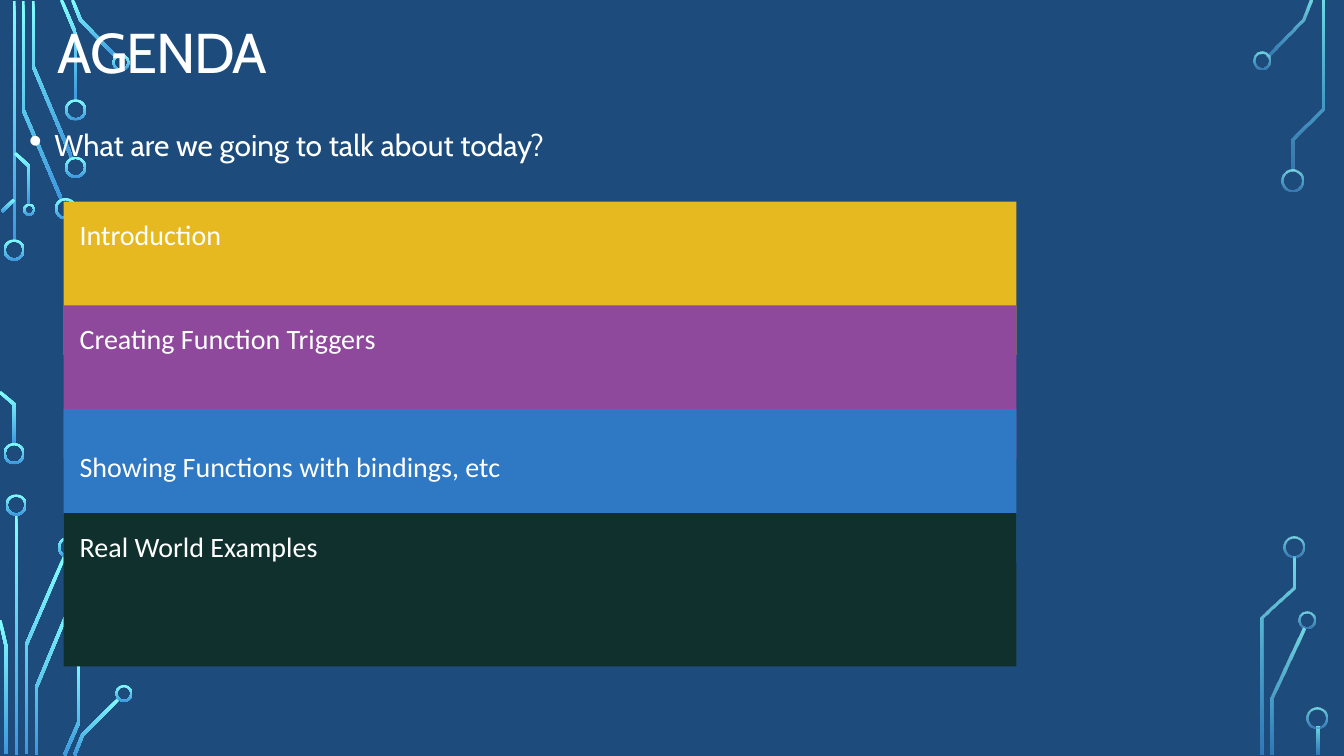
from dataclasses import dataclass
from math import hypot

from lxml import etree
from pptx import Presentation
from pptx.dml.color import RGBColor
from pptx.enum.shapes import MSO_SHAPE
from pptx.enum.text import MSO_ANCHOR, MSO_AUTO_SIZE, PP_ALIGN
from pptx.oxml.ns import qn
from pptx.shapes.autoshape import Shape
from pptx.slide import Slide
from pptx.text.text import TextFrame
from pptx.util import Inches, Pt

RECTANGLE, DONUT = MSO_SHAPE.RECTANGLE, MSO_SHAPE.DONUT
TOP, LEFT, NO_AUTOFIT = MSO_ANCHOR.TOP, PP_ALIGN.LEFT, MSO_AUTO_SIZE.NONE
COLORS = {
    "background": "1D4C7C", "text": "FFFFFF", "glow": "82FFFF", "trace": "3D97DE",
    "yellow": "E7B921", "purple": "8E499C", "blue": "2E78C4", "green": "0F302D",
}
TRACE_WIDTH = 0.03
RING_WALL = 0.02
BAND_LEFT, BAND_TOP, BAND_STEP = 0.63, 2.0, 1.03
BAND_WIDTH, BAND_HEIGHT, LABEL_HEIGHT = 9.45, 1.52, 1.04

Point = tuple[float, float]


@dataclass(frozen=True)
class Ring:
    x: float
    y: float
    size: float = 0.21


@dataclass(frozen=True)
class Circuit:
    traces: list[list[Point]]
    rings: list[Ring]
    opacities: tuple[int, int] = (100, 100)


@dataclass(frozen=True)
class Band:
    label: str
    color: str
    label_drop: float = 0
    label_width: float = BAND_WIDTH


@dataclass(frozen=True)
class TextStyle:
    font: str
    size: float
    line_spacing: float = 1.0
    inset: float = 0


TITLE = TextStyle("Cabin", 40, 0.9)
BODY = TextStyle("Cabin", 21.4, 0.9)
LABEL = TextStyle("Calibri", 20, inset=0.16)

CIRCUITS = [
    Circuit(
        traces=[
            [(0.14, 0.01), (0.14, 2.4)],
            [(0.23, 0.01), (0.23, 1.09), (0.61, 1.98)],
            [(0.33, 0.01), (0.33, 0.66), (0.71, 1.56)],
            [(0.61, 0), (0.75, 0.33), (0.75, 1)],
            [(0.72, 0), (0.8, 0.2), (1.16, 0.57)],
            [(0.02, 2.1), (0.14, 1.98)],
            [(0, 3.89), (0.14, 4.01), (0.14, 4.41)],
            [(0.15, 1.52), (0.29, 1.65), (0.29, 2.03)],
            [(0.16, 5.1), (0.16, 7.49)],
            [(0.26, 7.48), (0.26, 6.4), (0.64, 5.52)],
            [(0.06, 7.48), (0.06, 6.41), (0, 6.15)],
            [(0.36, 7.49), (0.36, 6.82), (0.73, 5.93)],
            [(0.64, 7.49), (0.78, 7.17), (0.78, 6.5)],
            [(0.74, 7.49), (0.82, 7.29), (1.18, 6.93)],
        ],
        rings=[
            Ring(0.14, 2.48), Ring(0.14, 4.5), Ring(0.65, 2.07), Ring(0.75, 1.66),
            Ring(0.75, 1.09), Ring(1.2, 0.62, 0.17), Ring(0.29, 2.08, 0.12),
            Ring(0.16, 5.01), Ring(0.68, 5.43), Ring(1.23, 6.88, 0.17),
        ],
    ),
    Circuit(
        traces=[
            [(12.57, 0.56), (12.92, 0.2), (13, 0)],
            [(12.62, 7.49), (12.62, 6.93), (12.93, 6.23)],
            [(12.82, 1.69), (12.82, 1.38), (13.12, 1.08), (13.12, 0.01)],
            [(12.52, 7.49), (12.52, 6.13), (12.83, 5.83), (12.83, 5.52)],
            [(13.07, 7.21), (13.07, 7.49)],
        ],
        rings=[
            Ring(12.52, 0.6, 0.17), Ring(12.82, 1.79), Ring(12.96, 6.15, 0.17),
            Ring(12.83, 5.43), Ring(13.06, 7.12),
        ],
        opacities=(80, 60),
    ),
]
BANDS = [
    Band("Introduction", "yellow"),
    Band("Creating Function Triggers", "purple"),
    Band("Showing Functions with bindings, etc", "blue", 0.24, 9.65),
    Band("Real World Examples", "green"),
]


def color(name: str) -> RGBColor:
    return RGBColor.from_string(COLORS[name])


def trace_outline(points: list[Point]) -> list[Point]:
    normals = []
    for (x1, y1), (x2, y2) in zip(points, points[1:]):
        length = hypot(x2 - x1, y2 - y1)
        normals.append(((y1 - y2) / length, (x2 - x1) / length))
    near, far = [], []
    for (x, y), (ax, ay), (bx, by) in zip(points, normals[:1] + normals, normals + normals[-1:]):
        scale = TRACE_WIDTH / 2 / (1 + ax * bx + ay * by)
        dx, dy = (ax + bx) * scale, (ay + by) * scale
        near.append((x + dx, y + dy))
        far.append((x - dx, y - dy))
    return near + far[::-1]


def apply_glow(shape: Shape, opacities: tuple[int, int]) -> None:
    shape.shadow.inherit = False
    shape.line.fill.background()
    shape.fill.gradient()
    shape.fill.gradient_angle = 270
    for stop, name in zip(shape.fill.gradient_stops, ("glow", "trace")):
        stop.color.rgb = color(name)
    for element, opacity in zip(shape._element.spPr.iter(qn("a:srgbClr")), opacities):
        if opacity < 100:
            etree.SubElement(element, qn("a:alpha"), val=str(opacity * 1000))


def draw_circuit(slide: Slide, circuit: Circuit) -> None:
    for points in circuit.traces:
        outline = [(Inches(x), Inches(y)) for x, y in trace_outline(points)]
        builder = slide.shapes.build_freeform(*outline[0])
        builder.add_line_segments(outline[1:], close=True)
        apply_glow(builder.convert_to_shape(), circuit.opacities)
    for ring in circuit.rings:
        left, top = ring.x - ring.size / 2, ring.y - ring.size / 2
        shape = slide.shapes.add_shape(
            DONUT, Inches(left), Inches(top), Inches(ring.size), Inches(ring.size))
        shape.adjustments[0] = RING_WALL / ring.size
        apply_glow(shape, circuit.opacities)


def write_text(frame: TextFrame, text: str, style: TextStyle) -> None:
    inset = Inches(style.inset)
    frame_format = {
        "margin_left": inset, "margin_top": inset, "margin_right": inset,
        "margin_bottom": inset, "word_wrap": True, "auto_size": NO_AUTOFIT,
        "vertical_anchor": TOP,
    }
    paragraph = frame.paragraphs[0]
    run = paragraph.add_run()
    run.text = text
    paragraph_format = {"alignment": LEFT, "line_spacing": style.line_spacing}
    font_format = {"name": style.font, "size": Pt(style.size)}
    for target, values in (
            (frame, frame_format), (paragraph, paragraph_format), (run.font, font_format)):
        for name, value in values.items():
            setattr(target, name, value)
    run.font.color.rgb = color("text")


def add_text(slide: Slide, box: tuple[float, ...], text: str, style: TextStyle) -> Shape:
    shape = slide.shapes.add_textbox(*map(Inches, box))
    write_text(shape.text_frame, text, style)
    return shape


def draw_title(slide: Slide, text: str) -> None:
    title = slide.shapes.title
    box = {"left": 0.57, "top": 0.25, "width": 12.2, "height": 0.68}
    for name, value in box.items():
        setattr(title, name, Inches(value))
    write_text(title.text_frame, text, TITLE)
    title.text_frame.paragraphs[0].runs[0].font._element.set("spc", "-90")
    slide.shapes._spTree.append(title._element)


def draw_question(slide: Slide, text: str) -> None:
    shape = add_text(slide, (0.29, 1.3, 12.74, 0.37), text, BODY)
    paragraph = shape.text_frame.paragraphs[0]
    paragraph.space_before = Pt(5)
    properties = paragraph._element.get_or_add_pPr()
    properties.set("marL", str(Inches(0.25)))
    properties.set("indent", str(Inches(-0.25)))
    etree.SubElement(properties, qn("a:buSzPct"), val="125000")
    etree.SubElement(properties, qn("a:buChar"), char="•")


def draw_band(slide: Slide, band: Band, top: float) -> None:
    shape = slide.shapes.add_shape(
        RECTANGLE, *map(Inches, (BAND_LEFT, top, BAND_WIDTH, BAND_HEIGHT)))
    shape.shadow.inherit = False
    shape.fill.solid()
    shape.fill.fore_color.rgb = color(band.color)
    shape.line.fill.background()
    box = (BAND_LEFT, top + band.label_drop, band.label_width, LABEL_HEIGHT)
    add_text(slide, box, band.label, LABEL)


def main() -> None:
    presentation = Presentation()
    presentation.slide_width, presentation.slide_height = Inches(13.33), Inches(7.5)
    slide = presentation.slides.add_slide(presentation.slide_layouts[5])
    slide.background.fill.solid()
    slide.background.fill.fore_color.rgb = color("background")
    for circuit in CIRCUITS:
        draw_circuit(slide, circuit)
    draw_title(slide, "AGENDA")
    draw_question(slide, "What are we going to talk about today?")
    for index, band in enumerate(BANDS):
        draw_band(slide, band, BAND_TOP + index * BAND_STEP)
    presentation.save("out.pptx")


if __name__ == "__main__":
    main()
